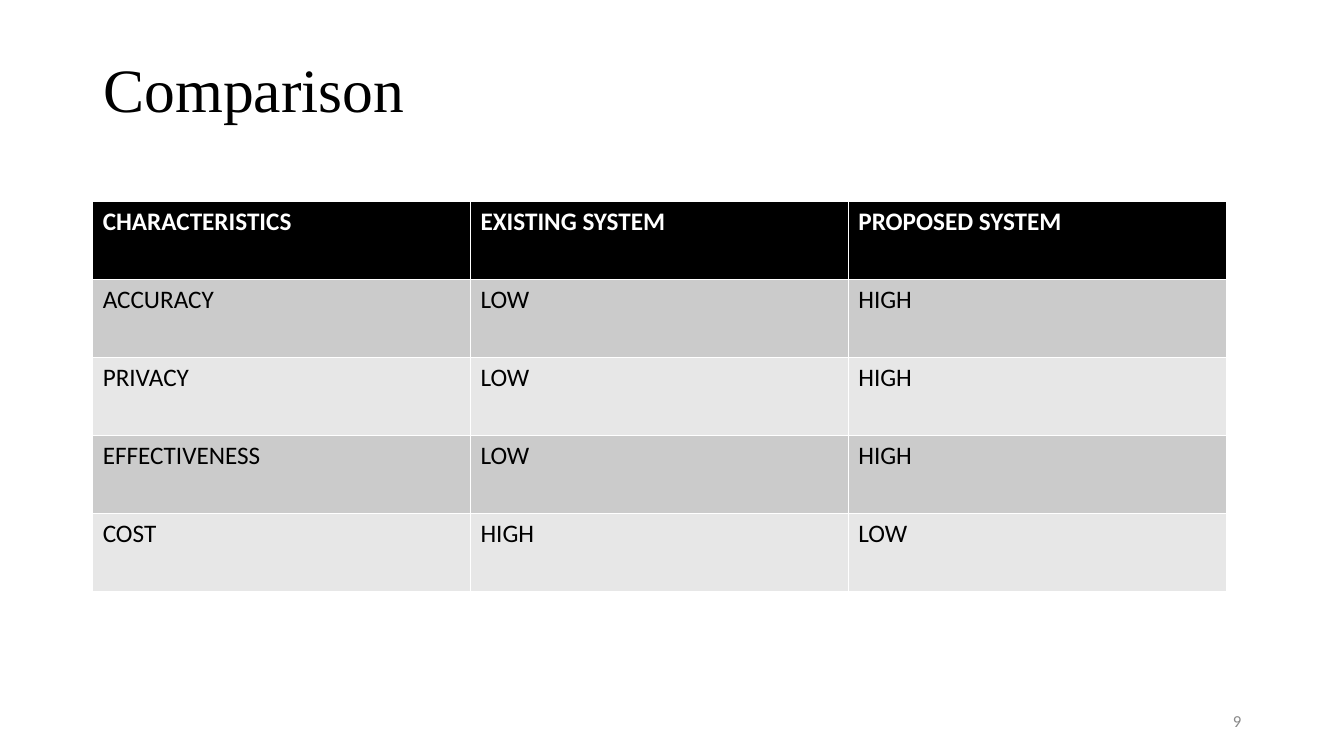
"""Build the comparison slide with its table of two systems."""
import pptx
import pptx.dml.color
import pptx.enum.text
import pptx.oxml
import pptx.oxml.ns
import pptx.util

TITLE = "Comparison"
PAGE = "9"
ROWS = [
    ("CHARACTERISTICS", "EXISTING SYSTEM", "PROPOSED SYSTEM"),
    ("ACCURACY", "LOW", "HIGH"),
    ("PRIVACY", "LOW", "HIGH"),
    ("EFFECTIVENESS", "LOW", "HIGH"),
    ("COST", "HIGH", "LOW"),
]
COLORS = {"black": "000000", "white": "FFFFFF", "dark": "CBCBCB",
          "light": "E7E7E7", "gray": "898989"}
SIZE = (13.34, 7.5)
HEAD = (0.93, 0.32, 11.5, 1.19)
FOOT = (9.42, 6.95, 3, 0.4)
GRID = (0.92, 2, 11.25, 3.87)
THIN, THICK = 0.45, 1.47

inch = pptx.util.Inches
align = pptx.enum.text.PP_ALIGN
anchor = pptx.enum.text.MSO_ANCHOR


def rgb(name):
    """Return the named colour."""
    return pptx.dml.color.RGBColor.from_string(COLORS[name])


def write(frame, text, size=18, font="Calibri", color="black", bold=False,
          side=align.LEFT, lines=1.0):
    """Put one formatted paragraph into a text frame."""
    para = frame.paragraphs[0]
    para.alignment = side
    para.line_spacing = lines
    run = para.add_run()
    run.text = text
    run.font.size = pptx.util.Pt(size)
    run.font.name = font
    run.font.bold = bold
    run.font.color.rgb = rgb(color)


def label(slide, box, text, **style):
    """Add a wrapped, vertically centred text box."""
    frame = slide.shapes.add_textbox(*map(inch, box)).text_frame
    frame.word_wrap = True
    frame.vertical_anchor = anchor.MIDDLE
    write(frame, text, **style)


def edge(cell, row):
    """Draw the cell borders, thick between header and body."""
    widths = {"L": THIN, "R": THIN, "T": THICK if row == 1 else THIN,
              "B": THICK if row == 0 else THIN}
    props = cell._tc.get_or_add_tcPr()
    for side, width in widths.items():
        props.append(pptx.oxml.parse_xml(
            f'<a:ln{side} {pptx.oxml.ns.nsdecls("a")} w="{pptx.util.Pt(width)}">'
            f'<a:solidFill><a:srgbClr val="{COLORS["white"]}"/></a:solidFill>'
            f'</a:ln{side}>'))


def grid(slide):
    """Add the table with a header and banded rows."""
    table = slide.shapes.add_table(
        len(ROWS), len(ROWS[0]), *map(inch, GRID)).table
    for r, row in enumerate(ROWS):
        fill = "black" if r == 0 else ("light", "dark")[r % 2]
        for c, text in enumerate(row):
            cell = table.cell(r, c)
            edge(cell, r)
            cell.fill.solid()
            cell.fill.fore_color.rgb = rgb(fill)
            write(cell.text_frame, text, bold=r == 0,
                  color="black" if r else "white")


def main():
    """Make the slide and save it."""
    deck = pptx.Presentation()
    deck.slide_width, deck.slide_height = map(inch, SIZE)
    slide = deck.slides.add_slide(deck.slide_layouts[6])
    label(slide, HEAD, TITLE, size=44, font="Times New Roman", lines=0.9)
    label(slide, FOOT, PAGE, size=12, color="gray", side=align.RIGHT)
    grid(slide)
    deck.save("out.pptx")


if __name__ == "__main__":
    main()
